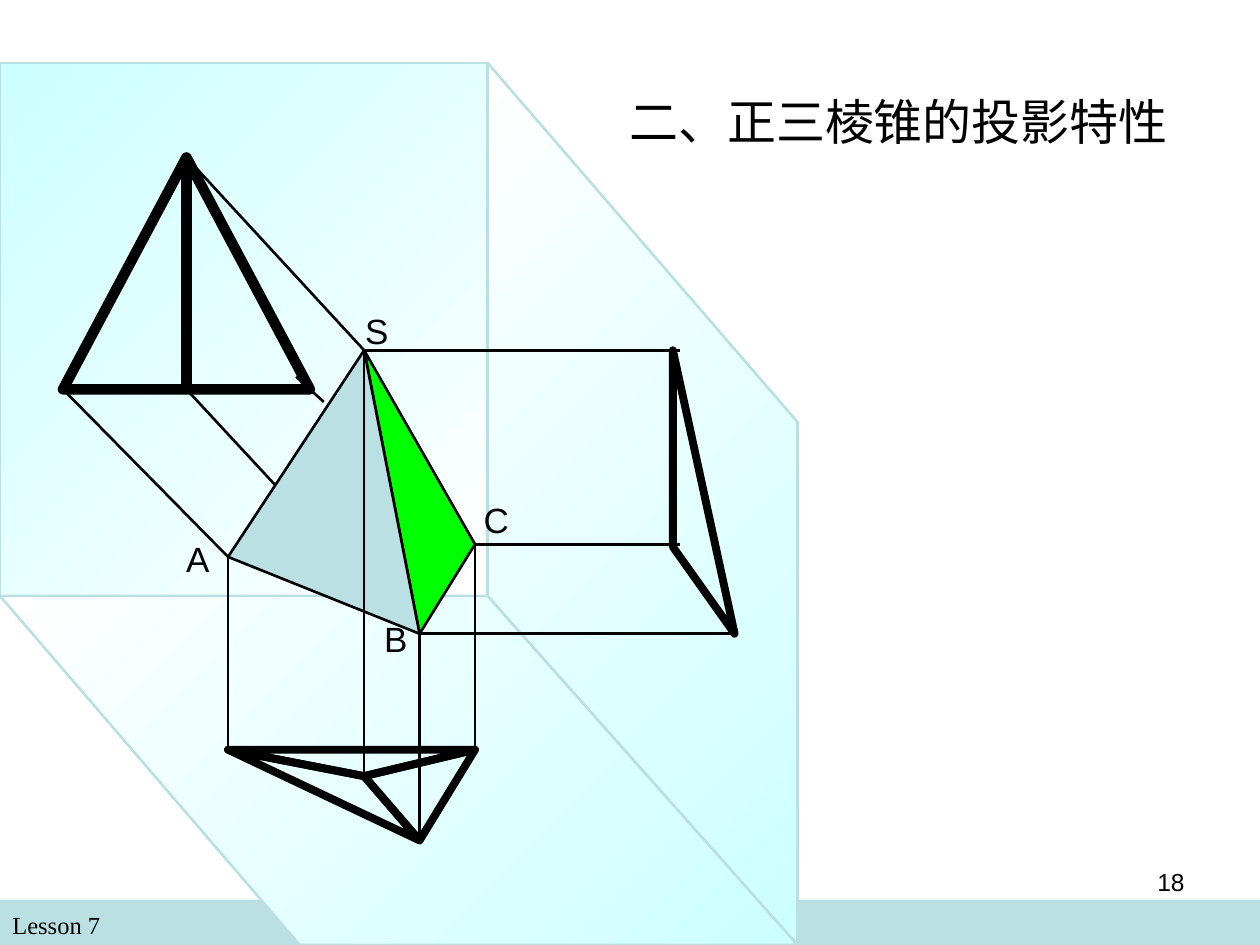
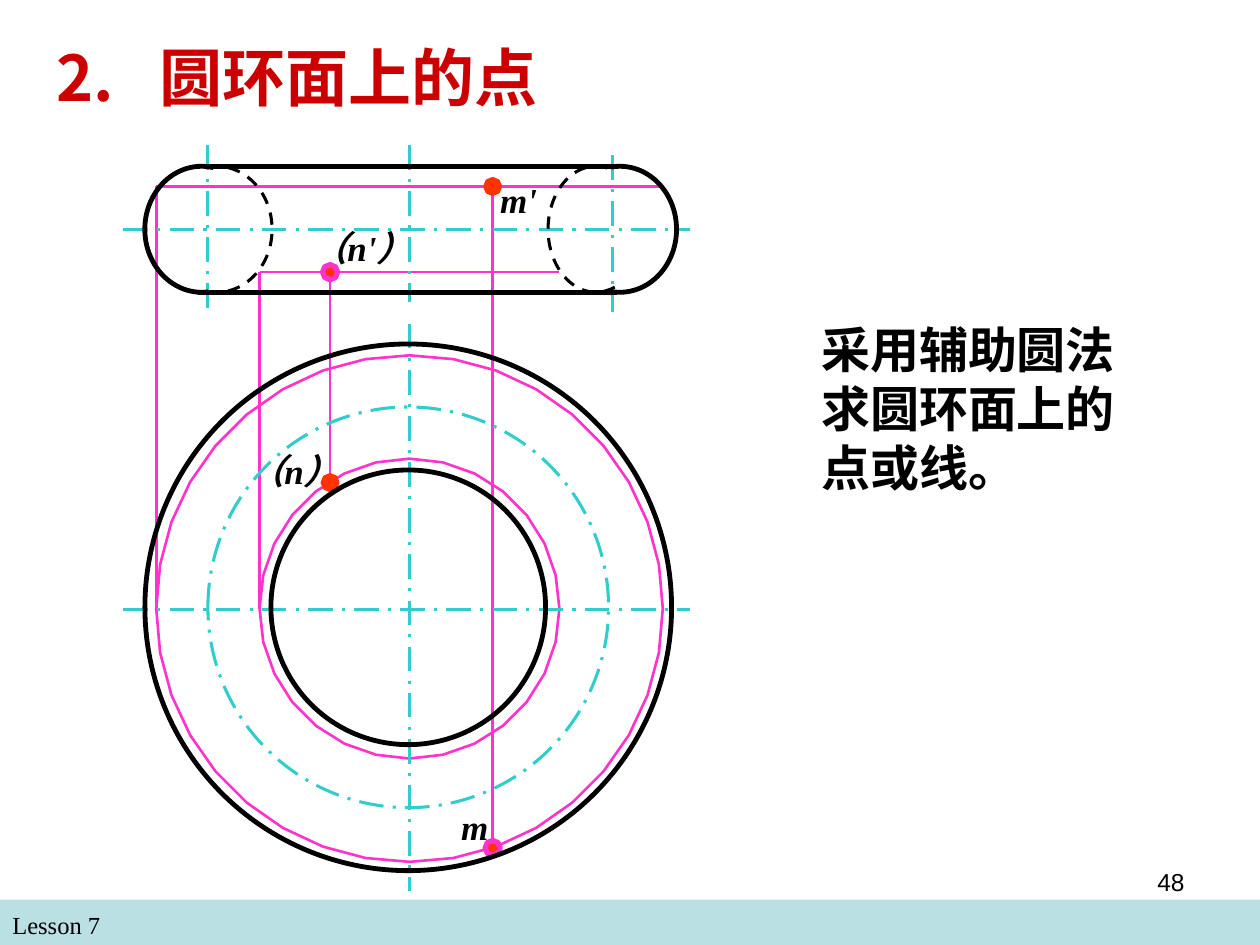
"""Builds two slides on the projections of a pyramid and a torus."""
from dataclasses import dataclass
from math import cos, pi, sin

from lxml import etree
from pptx import Presentation
from pptx.dml.color import RGBColor
from pptx.enum.dml import MSO_LINE
from pptx.enum.shapes import MSO_CONNECTOR, MSO_SHAPE
from pptx.enum.text import MSO_ANCHOR, PP_ALIGN
from pptx.oxml.ns import qn
from pptx.util import Inches, Pt

STRAIGHT = MSO_CONNECTOR.STRAIGHT
RECT, OVAL, ARC = MSO_SHAPE.RECTANGLE, MSO_SHAPE.OVAL, MSO_SHAPE.ARC
DASH, CHAIN = MSO_LINE.DASH, MSO_LINE.LONG_DASH_DOT
LEFT, CENTER, RIGHT = PP_ALIGN.LEFT, PP_ALIGN.CENTER, PP_ALIGN.RIGHT
TOP, MIDDLE = MSO_ANCHOR.TOP, MSO_ANCHOR.MIDDLE


@dataclass(frozen=True)
class Theme:
    black: str = "000000"
    white: str = "FFFFFF"
    band: str = "BBE0E3"
    cyan: str = "CCFFFF"
    green: str = "00FF00"
    title: str = "CC0000"
    pink: str = "FF33CC"
    red: str = "FF3300"
    axis: str = "33CCCC"
    sans: str = "Arial"
    serif: str = "Times New Roman"
    cjk: str = "Noto Sans CJK SC"
    small: int = 14
    label: int = 20
    body: int = 28
    head: int = 36
    thin: float = 1.5
    center: float = 1.75
    outline: float = 2.75
    view: float = 4.5
    front: float = 6


T = Theme()
MARGINS = (0.1, 0.05)

FOOTER = "Lesson 7"
PYRAMID_PAGE, TORUS_PAGE = "18", "48"
PYRAMID_TITLE = "二、正三棱锥的投影特性"
TORUS_TITLE = "2.\t圆环面上的点"
TORUS_NOTE = "采用辅助圆法求圆环面上的点或线。"

S, A, B, C = (2.89, 2.78), (1.81, 4.42), (3.33, 5.03), (3.77, 4.32)
FRONT_S, FRONT_A, FRONT_B, FRONT_C = (1.48, 1.25), (0.5, 3.09), (1.48, 3.09), (2.46, 3.09)
TOP_S, TOP_A, TOP_B, TOP_C = (2.89, 6.16), (1.81, 5.95), (3.33, 6.67), (3.77, 5.95)
SIDE_S, SIDE_AC, SIDE_B = (5.34, 2.78), (5.34, 4.34), (5.83, 5.03)

PLANES = [
    ([(0, 0.5), (3.87, 0.5), (3.87, 4.73), (0, 4.73)], (T.white, T.cyan)),
    ([(3.87, 0.5), (6.33, 3.35), (6.33, 7.5), (3.87, 4.73)], (T.cyan, T.white)),
    ([(6.33, 7.5), (2.38, 7.5), (0, 4.73), (3.87, 4.73)], (T.cyan, T.white)),
]
FACES = [([B, C, S], T.green), ([S, A, B], T.band)]
VIEWS = [
    ([FRONT_S, FRONT_A, FRONT_C], T.front),
    ([SIDE_S, SIDE_AC, SIDE_B], T.view),
    ([TOP_A, TOP_C, TOP_S], T.view),
    ([TOP_A, TOP_B, TOP_S], T.view),
    ([TOP_B, TOP_C, TOP_S], T.view),
]
FRONT_RAYS = [(FRONT_A, A), (FRONT_B, (2.24, 3.91)), ((2.35, 2.99), (2.57, 3.19)), (FRONT_S, S)]
OTHER_RAYS = [
    (S, (5.4, 2.78)), (C, (5.4, 4.32)), (B, SIDE_B),
    (S, TOP_S), (B, TOP_B), (C, TOP_C), (A, TOP_A),
]
CORNERS = [("A", 1.38, 4.22), ("B", 2.95, 4.85), ("C", 3.74, 3.91), ("S", 2.8, 2.41)]

HUB = (3.25, 4.83)
M_RADIUS, N_RADIUS = 2.01, 1.19
M_X, N_X = 3.91, 2.62
M_Y, N_Y = 1.48, 2.16
M_TOP, N_TOP = (M_X, 6.73), (N_X, 3.83)
AUX_CIRCLES = [(M_RADIUS, 36, M_Y), (N_RADIUS, 28, N_Y)]
DROPS = [((M_X, M_Y), M_TOP), ((N_X, N_Y), N_TOP)]
DOTS = [
    (M_TOP, T.pink, 3), ((M_X, M_Y), T.red, 2.25),
    ((N_X, N_Y), T.pink, 3), (N_TOP, T.red, 2.25),
]
POINT_NAMES = [
    ("m", (3.66, 6.39, 0.24, 0.33)), ("m'", (3.97, 1.42, 0.32, 0.33)),
    ("（n'）", (2.48, 1.8, 1, 0.33)), ("（n）", (1.98, 3.57, 0.83, 0.67)),
]
AXES = [
    ((0.98, 4.84), (5.48, 4.84)), ((3.25, 2.57), (3.25, 7.07)),
    ((0.98, 1.82), (5.48, 1.82)), ((1.65, 1.15), (1.65, 2.48)),
    ((4.86, 1.23), (4.86, 2.48)), ((3.25, 1.15), (3.25, 2.4)),
]
RIMS = [((4.9, 1.32), (1.65, 1.32)), ((4.9, 2.32), (1.57, 2.32))]
ARCS = [
    (4.92, 0.45, 262, 97, T.outline, None),
    (1.6, 0.45, 84, 281, T.outline, None),
    (4.73, 0.38, 72, 288, T.center, DASH),
    (1.72, 0.44, 261, 98, T.center, DASH),
]
RINGS = [
    (1.09, T.black, T.outline, None), (2.09, T.black, T.outline, None),
    (1.59, T.axis, T.center, CHAIN),
]


def rgb(color):
    return RGBColor.from_string(color)


def stroke(sp, color, width, dash=None):
    sp.line.color.rgb = rgb(color)
    sp.line.width = Pt(width)
    if dash is not None:
        sp.line.dash_style = dash
    etree.SubElement(sp.line._get_or_add_ln(), qn("a:round"))


def style(sp, fill, color=None, width=T.thin, dash=None):
    sp.shadow.inherit = False
    if fill is None:
        sp.fill.background()
    elif isinstance(fill, tuple):
        sp.fill.gradient()
        sp.fill.gradient_angle = 135
        for stop, shade in zip(sp.fill.gradient_stops, fill):
            stop.color.rgb = rgb(shade)
    else:
        sp.fill.solid()
        sp.fill.fore_color.rgb = rgb(fill)
    if color:
        stroke(sp, color, width, dash)
    else:
        sp.line.fill.background()


def preset(s, kind, box):
    return s.shapes.add_shape(kind, *map(Inches, box))


def polygon(s, points, fill, color, width=T.thin):
    pts = [(Inches(x), Inches(y)) for x, y in points]
    fb = s.shapes.build_freeform(*pts[0])
    fb.add_line_segments(pts[1:], close=True)
    style(fb.convert_to_shape(), fill, color, width)


def ring_points(center, radius, count):
    x, y = center
    turns = [2 * pi * i / count for i in range(count)]
    return [(x + radius * cos(t), y + radius * sin(t)) for t in turns]


def line(s, start, end, color=T.black, width=T.thin, dash=None):
    sp = s.shapes.add_connector(STRAIGHT, *map(Inches, start + end))
    stroke(sp, color, width, dash)
    etree.SubElement(sp._element.spPr, qn("a:effectLst"))


def text(s, words, box, size, font=T.sans, color=T.black, bold=False, italic=False,
         align=LEFT, anchor=TOP, margins=MARGINS, tab=None):
    tf = s.shapes.add_textbox(*map(Inches, box)).text_frame
    tf.word_wrap = True
    tf.vertical_anchor = anchor
    tf.margin_left = tf.margin_right = Inches(margins[0])
    tf.margin_top = tf.margin_bottom = Inches(margins[1])
    p = tf.paragraphs[0]
    p.alignment = align
    if tab:
        tabs = etree.SubElement(p._p.get_or_add_pPr(), qn("a:tabLst"))
        etree.SubElement(tabs, qn("a:tab"), pos=str(Inches(tab)), algn="l")
    r = p.add_run()
    r.text = words
    r.font.size, r.font.name = Pt(size), font
    r.font.bold, r.font.italic = bold, italic
    r.font.color.rgb = rgb(color)
    etree.SubElement(r._r.get_or_add_rPr(), qn("a:ea"), typeface=T.cjk)


def new_slide(prs, page):
    s = prs.slides.add_slide(prs.slide_layouts[6])
    style(preset(s, RECT, (0, 7.14, 10, 0.36)), T.band)
    text(s, FOOTER, (0, 7.17, 4.83, 0.34), T.small, T.serif)
    text(s, page, (7.17, 6.83, 2.33, 0.52), T.small, align=RIGHT)
    return s


def pyramid_slide(prs):
    s = new_slide(prs, PYRAMID_PAGE)
    text(s, PYRAMID_TITLE, (4.69, 0.68, 4.88, 0.73), T.body, align=CENTER)
    for points, shades in PLANES:
        polygon(s, points, shades, T.band)
    for start, end in FRONT_RAYS:
        line(s, start, end)
    for points, fill in FACES:
        polygon(s, points, fill, T.black)
    for start, end in OTHER_RAYS:
        line(s, start, end)
    for points, width in VIEWS:
        polygon(s, points, None, T.black, width)
    line(s, FRONT_S, FRONT_B, width=T.front)
    for name, x, y in CORNERS:
        text(s, name, (x, y, 0.47, 0.44), T.label)


def torus_slide(prs):
    s = new_slide(prs, TORUS_PAGE)
    text(s, TORUS_TITLE, (0.35, 0.21, 5.43, 0.79), T.head, T.cjk, T.title,
         bold=True, anchor=MIDDLE, tab=0.82)
    x, y = HUB
    for radius, count, level in AUX_CIRCLES:
        polygon(s, ring_points(HUB, radius, count), None, T.pink)
        line(s, (x - radius, level), (x + radius, level), T.pink)
        line(s, (x - radius, level), (x - radius, y), T.pink)
    for start, end in DROPS:
        line(s, start, end, T.pink)
    for center, color, width in DOTS:
        polygon(s, ring_points(center, 0.06, 8), T.red, color, width)
    for name, box in POINT_NAMES:
        text(s, name, box, T.label, T.serif, bold=True, italic=True, margins=(0, 0))
    for start, end in AXES:
        line(s, start, end, T.axis, T.center, CHAIN)
    for start, end in RIMS:
        line(s, start, end, width=T.outline)
    for cx, rx, start, end, width, dash in ARCS:
        sp = preset(s, ARC, (cx - rx, 1.32, 2 * rx, 1))
        sp.adjustments[0], sp.adjustments[1] = start * 0.6, end * 0.6
        style(sp, None, T.black, width, dash)
    for radius, color, width, dash in RINGS:
        sp = preset(s, OVAL, (x - 0.01 - radius, y - 0.01 - radius, 2 * radius, 2 * radius))
        style(sp, None, color, width, dash)
    text(s, TORUS_NOTE, (6.42, 2.49, 2.6, 1.5), T.body, T.serif, bold=True)


def main():
    prs = Presentation()
    prs.slide_width, prs.slide_height = Inches(10), Inches(7.5)
    pyramid_slide(prs)
    torus_slide(prs)
    prs.save("out.pptx")


if __name__ == "__main__":
    main()
